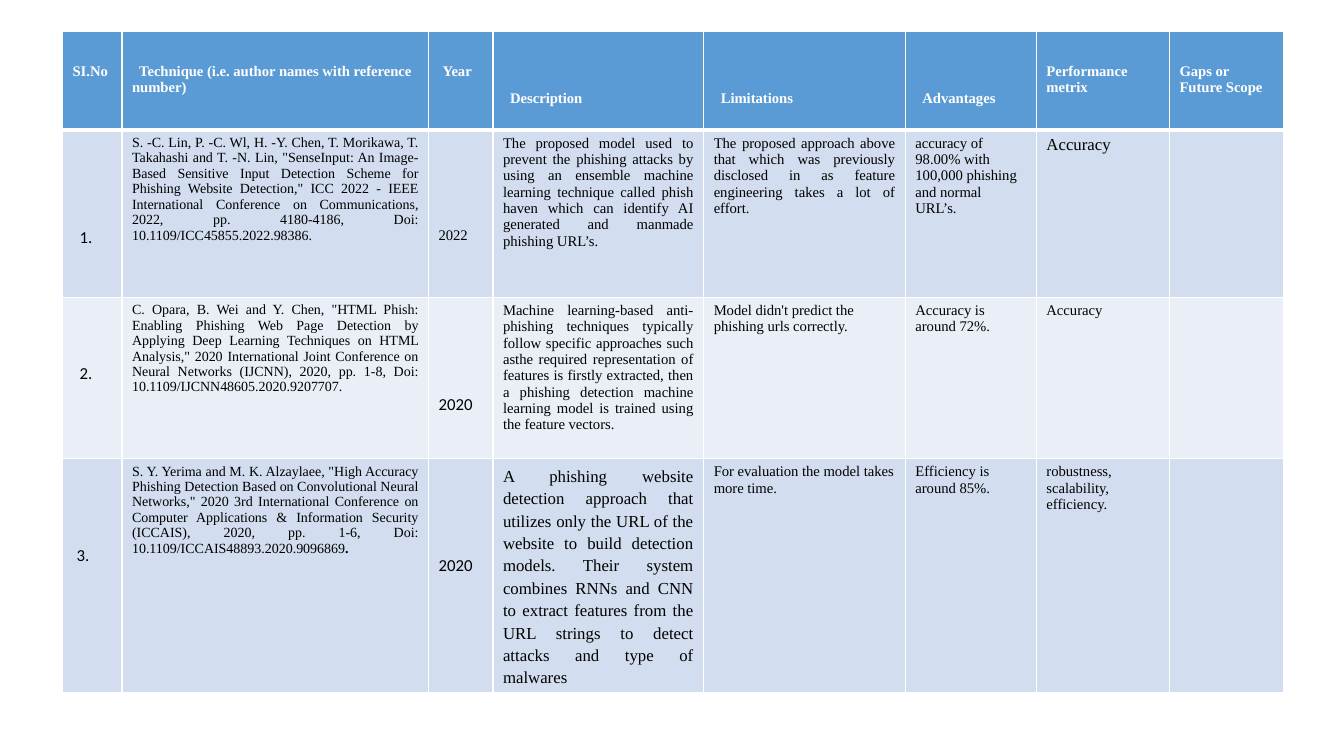
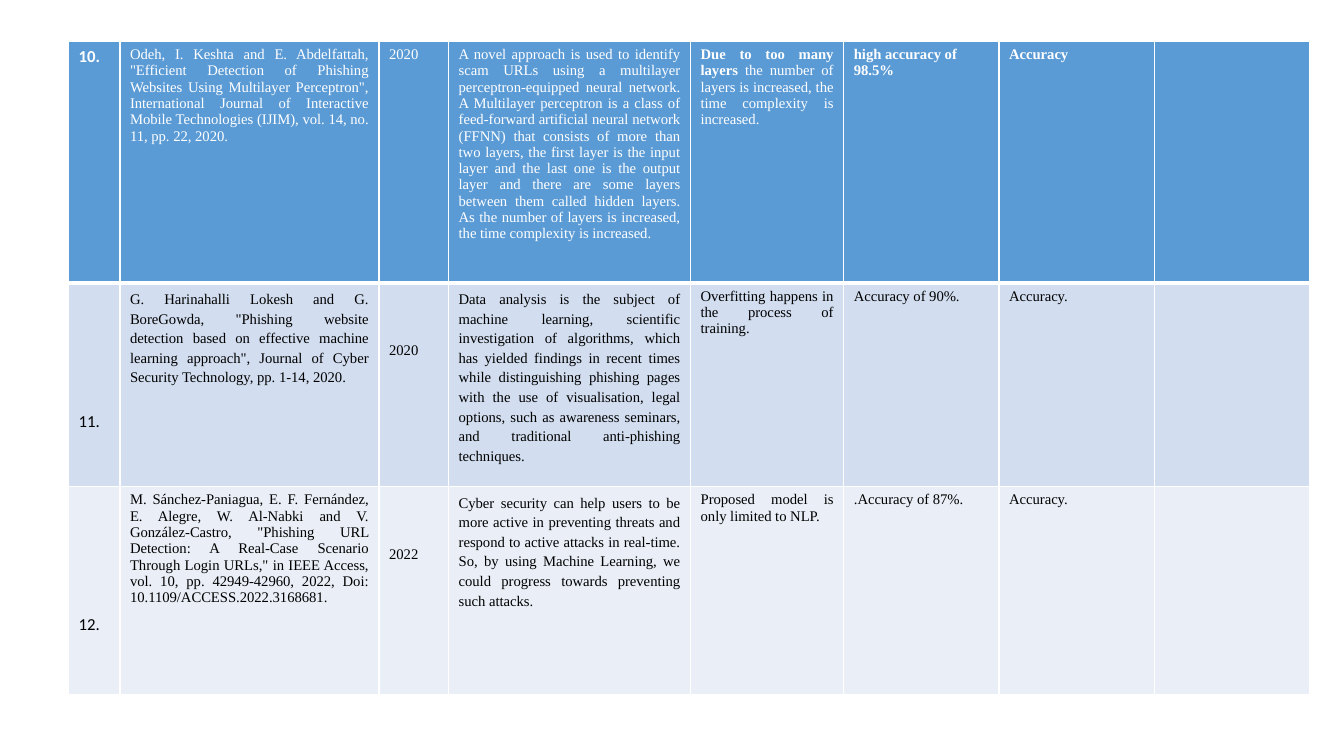
from lxml import etree
from pptx import Presentation
from pptx.dml.color import RGBColor
from pptx.enum.text import PP_ALIGN
from pptx.oxml.ns import qn
from pptx.util import Inches, Pt

JUSTIFY = PP_ALIGN.JUSTIFY
LEFT = PP_ALIGN.LEFT
COLORS = {"header": "5B9BD5", "odd": "D2DEEF", "even": "EAEFF7",
          "light": "FFFFFF", "dark": "000000"}
BANDS = ["header", "odd", "even", "odd"]
PAD = 0.05
LINE = 0.305
HEAD_LINE = 0.27

BASE = {"name": "Times New Roman", "size": 10.5, "bold": False,
        "align": LEFT, "spacing": 1.0, "top": PAD, "indent": 0}
BOLD = {"bold": True}
BLOCK = {"align": JUSTIFY}
LOOSE = {"align": JUSTIFY, "spacing": 1.2}
CITE = {"align": JUSTIFY, "size": 10}
SANS = {"name": "Calibri", "size": 12}
HEAD_ONE = {"bold": True, "top": PAD + HEAD_LINE}
HEAD_TWO = {"bold": True, "top": PAD + 2 * HEAD_LINE, "indent": 0.07}
YEAR = {"top": PAD + 3 * LINE}
LATE_YEAR = {"top": PAD + 2 * HEAD_LINE}
LOW_NUMBER = {**SANS, "top": PAD + 4 * LINE}

SLIDES = [
    {
        "left": 0.62, "top": 0.31,
        "cols": [0.59, 3.04, 0.64, 2.09, 2, 1.3, 1.32, 1.13],
        "rows": [0.98, 1.66, 1.6, 2.32],
        "cells": [
            [
                ("SI.No", HEAD_ONE),
                ("Technique (i.e. author names with reference number)", {**HEAD_ONE, "indent": 0.07}),
                ("Year", {**HEAD_ONE, "indent": 0.04}),
                ("Description", HEAD_TWO),
                ("Limitations", HEAD_TWO),
                ("Advantages", HEAD_TWO),
                ("Performance metrix", HEAD_ONE),
                ("Gaps or Future Scope", HEAD_ONE),
            ],
            [
                ("1.", {**SANS, "top": PAD + 3 * LINE, "indent": 0.07}),
                ("S. -C. Lin, P. -C. Wl, H. -Y. Chen, T. Morikawa, T. Takahashi and T. -N. Lin, "
                 "\"SenseInput: An Image-Based Sensitive Input Detection Scheme for Phishing Website "
                 "Detection,\" ICC 2022 - IEEE International Conference on Communications, 2022, "
                 "pp. 4180-4186, Doi: 10.1109/ICC45855.2022.98386.", CITE),
                ("2022", YEAR),
                ("The proposed model used to prevent the phishing attacks by using an ensemble machine "
                 "learning technique called phish haven which can identify AI generated and manmade "
                 "phishing URL’s.", BLOCK),
                ("The proposed approach above that which was previously disclosed in as "
                 "feature engineering takes a lot of effort.", BLOCK),
                ("accuracy of 98.00% with 100,000 phishing and normal URL’s.", {}),
                ("Accuracy", {"size": 12}),
                ("", {}),
            ],
            [
                ("2.", {**SANS, "top": PAD + 2 * LINE, "indent": 0.07}),
                ("C. Opara, B. Wei and Y. Chen, \"HTML Phish: Enabling Phishing Web Page Detection by "
                 "Applying Deep Learning Techniques on HTML Analysis,\" 2020 International Joint "
                 "Conference on Neural Networks (IJCNN), 2020, pp. 1-8, "
                 "Doi: 10.1109/IJCNN48605.2020.9207707.", CITE),
                ("2020", {**SANS, **YEAR}),
                ("Machine learning-based anti-phishing techniques typically follow specific approaches "
                 "such asthe required representation of features is firstly extracted, then a phishing "
                 "detection machine learning model is trained using the feature vectors.", BLOCK),
                ("Model didn't predict the phishing urls correctly.", {}),
                ("Accuracy is around 72%.", {}),
                ("Accuracy", {}),
                ("", {}),
            ],
            [
                ("3.", {**SANS, "top": PAD + 2 * LINE + 0.2, "indent": 0.04}),
                ("S. Y. Yerima and M. K. Alzaylaee, \"High Accuracy Phishing Detection Based on "
                 "Convolutional Neural Networks,\" 2020 3rd International Conference on Computer "
                 "Applications & Information Security (ICCAIS), 2020, pp. 1-6, "
                 "Doi: 10.1109/ICCAIS48893.2020.9096869|.", CITE),
                ("2020", {**SANS, **YEAR}),
                ("A phishing website detection approach that utilizes only the URL of the website to "
                 "build detection models. Their system combines RNNs and CNN to extract features from "
                 "the URL strings to detect attacks and type of malwares", {**LOOSE, "size": 12}),
                ("For evaluation the model takes more time.", {}),
                ("Efficiency is around 85%.", {}),
                ("robustness, scalability, efficiency.", {}),
                ("", {}),
            ],
        ],
    },
    {
        "left": 0.68, "top": 0.41,
        "cols": [0.51, 2.57, 0.69, 2.4, 1.52, 1.54, 1.54, 1.54],
        "rows": [2.4, 2.02, 2.06],
        "cells": [
            [
                ("10.", {**SANS, **BOLD}),
                ("Odeh, I. Keshta and E. Abdelfattah, \"Efficient Detection of Phishing Websites Using "
                 "Multilayer Perceptron\", International Journal of Interactive Mobile Technologies "
                 "(IJIM), vol. 14, no. 11, pp. 22, 2020.", BLOCK),
                ("2020", {}),
                ("A novel approach is used to identify scam URLs using a multilayer perceptron-equipped "
                 "neural network. A Multilayer perceptron is a class of feed-forward artificial neural "
                 "network (FFNN) that consists of more than two layers, the first layer is the input "
                 "layer and the last one is the output layer and there are some layers between them "
                 "called hidden layers. As the number of layers is increased, the time complexity is "
                 "increased.", BLOCK),
                ("|Due to too many layers| the number of layers is increased, the time complexity is "
                 "increased.", BLOCK),
                ("high accuracy of 98.5%", BOLD),
                ("Accuracy", BOLD),
                ("", {}),
            ],
            [
                ("11.", LOW_NUMBER),
                ("G. Harinahalli Lokesh and G. BoreGowda, \"Phishing website detection based on "
                 "effective machine learning approach\", Journal of Cyber Security Technology, "
                 "pp. 1-14, 2020.", LOOSE),
                ("2020", LATE_YEAR),
                ("Data analysis is the subject of machine learning, scientific investigation of "
                 "algorithms, which has yielded findings in recent times while distinguishing phishing "
                 "pages with the use of visualisation, legal options, such as awareness seminars, and "
                 "traditional anti-phishing techniques.", LOOSE),
                ("Overfitting happens in the process of training.", BLOCK),
                ("Accuracy of 90%.", {}),
                ("Accuracy.", {}),
                ("", {}),
            ],
            [
                ("12.", LOW_NUMBER),
                ("M. Sánchez-Paniagua, E. F. Fernández, E. Alegre, W. Al-Nabki and V. González-Castro, "
                 "\"Phishing URL Detection: A Real-Case Scenario Through Login URLs,\" in IEEE Access, "
                 "vol. 10, pp. 42949-42960, 2022, Doi: 10.1109/ACCESS.2022.3168681.", BLOCK),
                ("2022", LATE_YEAR),
                ("Cyber security can help users to be more active in preventing threats and respond to "
                 "active attacks in real-time. So, by using Machine Learning, we could progress towards "
                 "preventing such attacks.", LOOSE),
                ("Proposed model is only limited to NLP.", BLOCK),
                (".Accuracy of 87%.", {}),
                ("Accuracy.", {}),
                ("", {}),
            ],
        ],
    },
]


def style_cell(cell, row):
    tcPr = cell._tc.get_or_add_tcPr()
    widths = {"lnL": 1, "lnR": 1, "lnT": 3 if row == 1 else 1, "lnB": 3 if row == 0 else 1}
    for tag, width in widths.items():
        ln = etree.SubElement(tcPr, qn(f"a:{tag}"), w=str(Pt(width)))
        fill = etree.SubElement(ln, qn("a:solidFill"))
        etree.SubElement(fill, qn("a:srgbClr"), val=COLORS["light"])
    cell.fill.solid()
    cell.fill.fore_color.rgb = RGBColor.from_string(COLORS[BANDS[row]])


def write_cell(cell, text, fmt, color):
    cell.margin_top = Inches(fmt["top"])
    p = cell.text_frame.paragraphs[0]
    p.alignment = fmt["align"]
    p.line_spacing = fmt["spacing"]
    p._p.get_or_add_pPr().set("indent", str(Inches(fmt["indent"])))
    for i, part in enumerate(text.split("|")):
        if part:
            r = p.add_run()
            r.text = part
            values = {"name": fmt["name"], "size": Pt(fmt["size"]),
                      "bold": fmt["bold"] or i % 2 == 1}
            for key, value in values.items():
                setattr(r.font, key, value)
            r.font.color.rgb = RGBColor.from_string(color)


prs = Presentation()
prs.slide_width = Inches(13.33)
prs.slide_height = Inches(7.5)

for page in SLIDES:
    s = prs.slides.add_slide(prs.slide_layouts[6])
    cols, rows = page["cols"], page["rows"]
    box = [Inches(v) for v in (page["left"], page["top"], sum(cols), sum(rows))]
    table = s.shapes.add_table(len(rows), len(cols), *box).table
    for column, width in zip(table.columns, cols):
        column.width = Inches(width)
    for i, height in enumerate(rows):
        table.rows[i].height = Inches(height)
        color = COLORS["light" if i == 0 else "dark"]
        for j, (text, fmt) in enumerate(page["cells"][i]):
            cell = table.cell(i, j)
            style_cell(cell, i)
            write_cell(cell, text, {**BASE, **fmt}, color)

prs.save("out.pptx")
